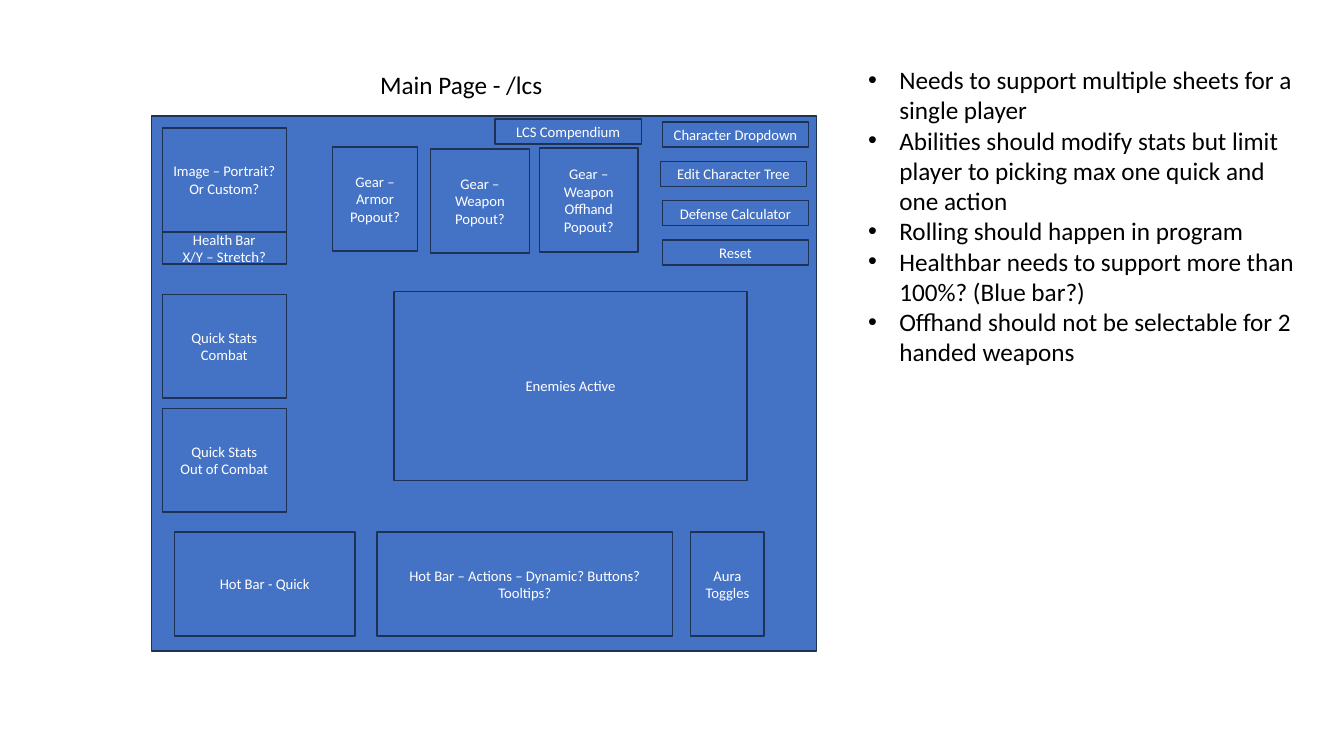
from dataclasses import dataclass

from pptx import Presentation
from pptx import util as u
from pptx.dml.color import RGBColor
from pptx.enum import shapes, text
from pptx.oxml import parse_xml
from pptx.oxml.ns import nsdecls

PX = 9144  # EMU per px, 100 px to the inch


@dataclass(frozen=True)
class Theme:
    font: str = "Calibri"
    panel: RGBColor = RGBColor(0x44, 0x72, 0xC4)
    outline: RGBColor = RGBColor(0x1E, 0x32, 0x56)
    label: RGBColor = RGBColor(0xFF, 0xFF, 0xFF)
    ink: RGBColor = RGBColor(0, 0, 0)
    label_size: u.Length = u.Pt(10.5)
    text_size: u.Length = u.Pt(18)
    line_width: u.Length = u.Pt(1)


THEME = Theme()
BOARD = (150, 115, 660, 531)
TITLE = (367, 64, 205, 40)
NOTES = (851, 59, 450, 313)
BULLET_INDENT = 31

SIDE_X, SIDE_W = 161, 123
PANEL_H = 103
BUTTON_W, BUTTON_H = 145, 25
HOT_BAR_Y = 528

# Label, then left, top, width, height; \v breaks a line, \n a paragraph
PANELS = [
    ("Image – Portrait? Or Custom?", SIDE_X, 127, SIDE_W, PANEL_H),
    ("Health Bar\vX/Y – Stretch?", SIDE_X, 230, SIDE_W, 32),
    ("Quick Stats\vCombat", SIDE_X, 292, SIDE_W, PANEL_H),
    ("Quick Stats\vOut of Combat", SIDE_X, 405, SIDE_W, PANEL_H),
    ("Gear – Armor\nPopout?", 330, 146, 84, PANEL_H),
    ("Gear – Weapon\nPopout?", 427, 148, 98, PANEL_H),
    ("Gear – Weapon Offhand\nPopout?", 535, 147, 98, PANEL_H),
    ("Enemies Active", 391, 289, 350, 188),
    ("Hot Bar - Quick", 173, HOT_BAR_Y, 179, PANEL_H),
    ("Hot Bar – Actions – Dynamic? Buttons? Tooltips?",
     374, HOT_BAR_Y, 293, PANEL_H),
    ("Aura Toggles", 685, HOT_BAR_Y, 73, PANEL_H),
    ("LCS Compendium", 491, 118, BUTTON_W, BUTTON_H),
]

MENU_TOP, MENU_STEP = 121, 39
MENU = [
    ("Character Dropdown", 657),
    ("Edit Character Tree", 655),
    ("Defense Calculator", 657),
    ("Reset", 657),
]

REQUIREMENTS = [
    "Needs to support multiple sheets for a single player",
    "Abilities should modify stats but limit player to picking max one "
    "quick and one action",
    "Rolling should happen in program",
    "Healthbar needs to support more than 100%? (Blue bar?)",
    "Offhand should not be selectable for 2 handed weapons",
]


def px(*lengths):
    return [length * PX for length in lengths]


def style_paragraphs(frame, size, color, align):
    for paragraph in frame.paragraphs:
        paragraph.alignment = align
        paragraph.space_before = u.Pt(0)
        paragraph.font.name = THEME.font
        paragraph.font.size = size
        paragraph.font.color.rgb = color


def add_panel(slide, label, *box):
    panel = slide.shapes.add_shape(shapes.MSO_SHAPE.RECTANGLE, *px(*box))
    panel.shadow.inherit = False
    panel.fill.solid()
    panel.fill.fore_color.rgb = THEME.panel
    panel.line.color.rgb = THEME.outline
    panel.line.width = THEME.line_width
    if label:
        frame = panel.text_frame
        frame.text = label
        frame.word_wrap = True
        frame.vertical_anchor = text.MSO_ANCHOR.MIDDLE
        style_paragraphs(frame, THEME.label_size, THEME.label,
                         text.PP_ALIGN.CENTER)


def fill_placeholder(placeholder, content, box):
    (placeholder.left, placeholder.top,
     placeholder.width, placeholder.height) = px(*box)
    frame = placeholder.text_frame
    frame.text = content
    frame.word_wrap = True
    frame.auto_size = text.MSO_AUTO_SIZE.NONE
    frame.vertical_anchor = text.MSO_ANCHOR.TOP
    style_paragraphs(frame, THEME.text_size, THEME.ink, text.PP_ALIGN.LEFT)
    return frame


def add_bullets(frame):
    indent = BULLET_INDENT * PX
    for paragraph in frame.paragraphs:
        properties = paragraph._p.get_or_add_pPr()
        properties.set("marL", str(indent))
        properties.set("indent", str(-indent))
        for bullet in ('<a:buFont %s typeface="Arial"/>',
                       '<a:buChar %s char="•"/>'):
            properties.append(parse_xml(bullet % nsdecls("a")))


def main():
    deck = Presentation()
    deck.slide_width, deck.slide_height = u.Inches(13.33), u.Inches(7.5)
    slide = deck.slides.add_slide(deck.slide_layouts[1])

    # Page heading and requirements
    fill_placeholder(slide.shapes.title, "Main Page - /lcs", TITLE)
    requirements = fill_placeholder(slide.placeholders[1],
                                    "\n".join(REQUIREMENTS), NOTES)
    add_bullets(requirements)

    # Page wireframe
    add_panel(slide, "", *BOARD)
    for label, *box in PANELS:
        add_panel(slide, label, *box)

    # Menu buttons, evenly stacked
    for row, (label, left) in enumerate(MENU):
        add_panel(slide, label, left, MENU_TOP + row * MENU_STEP,
                  BUTTON_W, BUTTON_H)

    deck.save("out.pptx")


if __name__ == "__main__":
    main()
